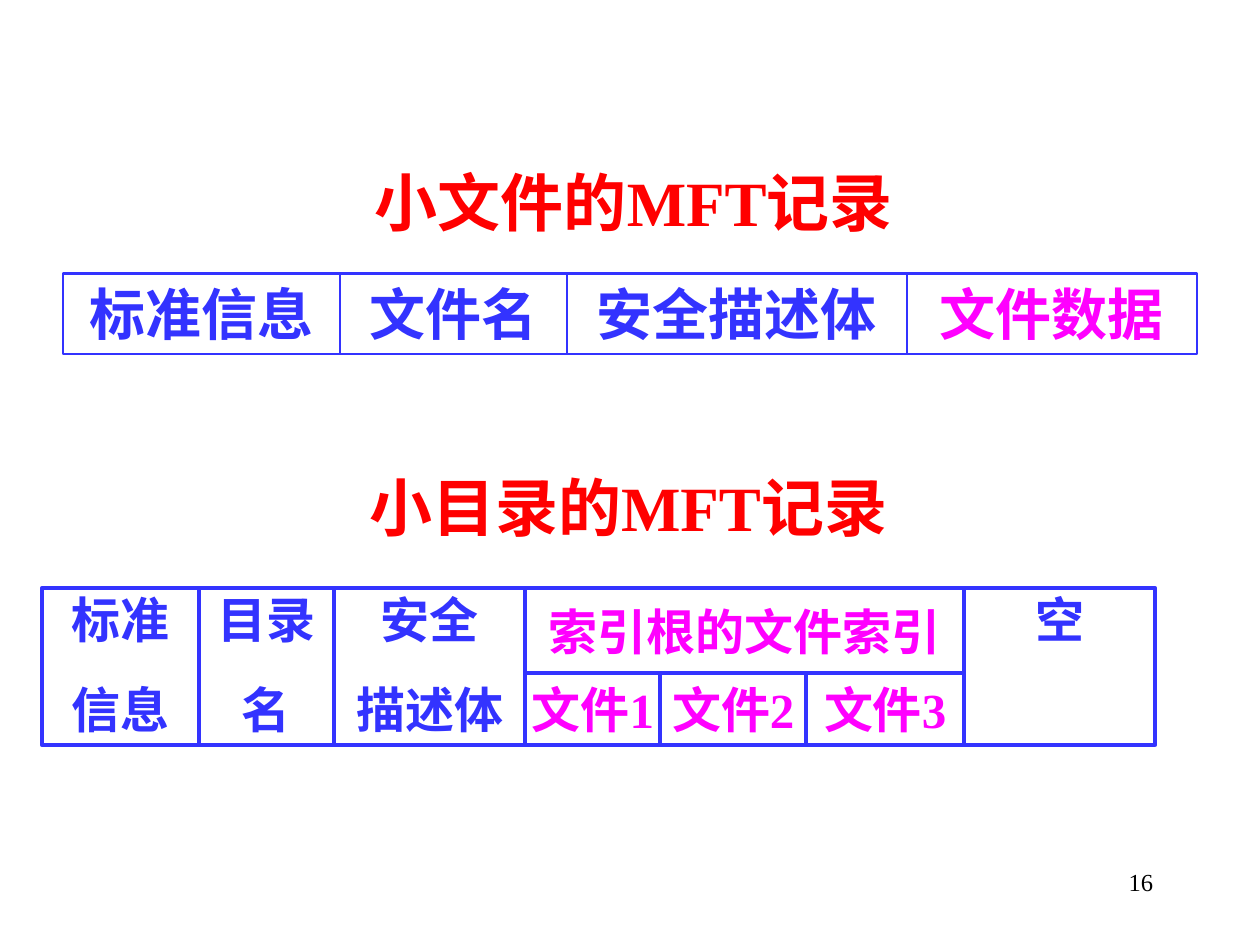
from dataclasses import dataclass

from pptx import Presentation
from pptx.dml.color import RGBColor
from pptx.enum.shapes import MSO_SHAPE
from pptx.enum.text import MSO_ANCHOR, MSO_AUTO_SIZE, PP_ALIGN
from pptx.util import Inches, Pt

FONT = "Times New Roman"
WHITE = RGBColor(0xFF, 0xFF, 0xFF)
BLACK = RGBColor(0, 0, 0)
RED = RGBColor(0xFF, 0, 0)
BLUE = RGBColor(0x33, 0x33, 0xFF)
MAGENTA = RGBColor(0xFF, 0, 0xFF)


@dataclass(frozen=True)
class Field:
    text: str
    width: float
    color: RGBColor = BLUE


@dataclass(frozen=True)
class RowStyle:
    height: float
    size: float
    line_width: float
    side_inset: float = 0.1
    top_inset: float = 0.05
    anchor: MSO_ANCHOR = MSO_ANCHOR.TOP
    wrap: bool = True


FILE_STYLE = RowStyle(0.64, 32, 1.5)
DIRECTORY_STYLE = RowStyle(1.24, 28, 2.25, top_inset=0.01)
INDEX_ROOT_STYLE = RowStyle(0.67, 28, 2.25, anchor=MSO_ANCHOR.MIDDLE, wrap=False)
INDEX_ENTRY_STYLE = RowStyle(0.57, 28, 2.25, side_inset=0)

FILE_FIELDS = [
    Field("标准信息", 2.2),
    Field("文件名", 1.8),
    Field("安全描述体", 2.7),
    Field("文件数据", 2.3, MAGENTA),
]
DIRECTORY_FIELDS = [
    Field("标准\n信息", 1.25),
    Field("目录\n名", 1.07),
    Field("安全\n描述体", 1.52),
]
INDEX_ENTRIES = [
    Field("文件1", 1.07, MAGENTA),
    Field("文件2", 1.16, MAGENTA),
    Field("文件3", 1.25, MAGENTA),
]
INDEX_WIDTH = sum(entry.width for entry in INDEX_ENTRIES)
INDEX_ROOT = Field("索引根的文件索引", INDEX_WIDTH, MAGENTA)
EMPTY_FIELD = Field("空", 1.52)


def place(box, left: float, top: float, width: float, height: float) -> None:
    box.left, box.top = Inches(left), Inches(top)
    box.width, box.height = Inches(width), Inches(height)


def write(box, text: str, size: float, color: RGBColor, bold: bool = True,
          align: PP_ALIGN = PP_ALIGN.CENTER) -> None:
    frame = box.text_frame
    frame.text = text
    frame.word_wrap = True
    frame.auto_size = MSO_AUTO_SIZE.NONE
    frame.vertical_anchor = MSO_ANCHOR.TOP
    for index, para in enumerate(frame.paragraphs):
        para.alignment = align
        if index:
            para.space_before = Pt(size * 0.625)
        for span in para.runs:
            span.font.name = FONT
            span.font.size = Pt(size)
            span.font.bold = bold
            span.font.color.rgb = color


def draw_field(page, field: Field, left: float, top: float, style: RowStyle) -> None:
    box = page.shapes.add_shape(
        MSO_SHAPE.RECTANGLE, Inches(left), Inches(top),
        Inches(field.width), Inches(style.height))
    box.shadow.inherit = False
    box.fill.solid()
    box.fill.fore_color.rgb = WHITE
    box.line.color.rgb = BLUE
    box.line.width = Pt(style.line_width)
    write(box, field.text, style.size, field.color)
    frame = box.text_frame
    frame.margin_left = frame.margin_right = Inches(style.side_inset)
    frame.margin_top = Inches(style.top_inset)
    frame.vertical_anchor = style.anchor
    frame.word_wrap = style.wrap


def draw_row(page, fields: list[Field], left: float, top: float, style: RowStyle) -> float:
    for field in fields:
        draw_field(page, field, left, top, style)
        left += field.width
    return left


def main() -> None:
    deck = Presentation()
    deck.slide_width, deck.slide_height = Inches(10), Inches(7.5)
    page = deck.slides.add_slide(deck.slide_layouts[5])

    title = page.shapes.title
    place(title, 1.83, 1.25, 6.4, 0.65)
    write(title, "小文件的MFT记录", 36, RED)
    draw_row(page, FILE_FIELDS, 0.5, 2.17, FILE_STYLE)

    heading = page.shapes.add_textbox(
        Inches(2), Inches(3.67), Inches(5.97), Inches(0.62))
    write(heading, "小目录的MFT记录", 36, RED)

    top = 4.67
    index_left = draw_row(page, DIRECTORY_FIELDS, 0.33, top, DIRECTORY_STYLE)
    draw_row(page, INDEX_ENTRIES, index_left, top + INDEX_ROOT_STYLE.height,
             INDEX_ENTRY_STYLE)
    draw_field(page, INDEX_ROOT, index_left, top, INDEX_ROOT_STYLE)
    draw_field(page, EMPTY_FIELD, index_left + INDEX_WIDTH, top, DIRECTORY_STYLE)

    number = page.shapes.add_textbox(
        Inches(7.17), Inches(6.83), Inches(2.08), Inches(0.5))
    write(number, "16", 14, BLACK, bold=False, align=PP_ALIGN.RIGHT)

    deck.save("out.pptx")


if __name__ == "__main__":
    main()
